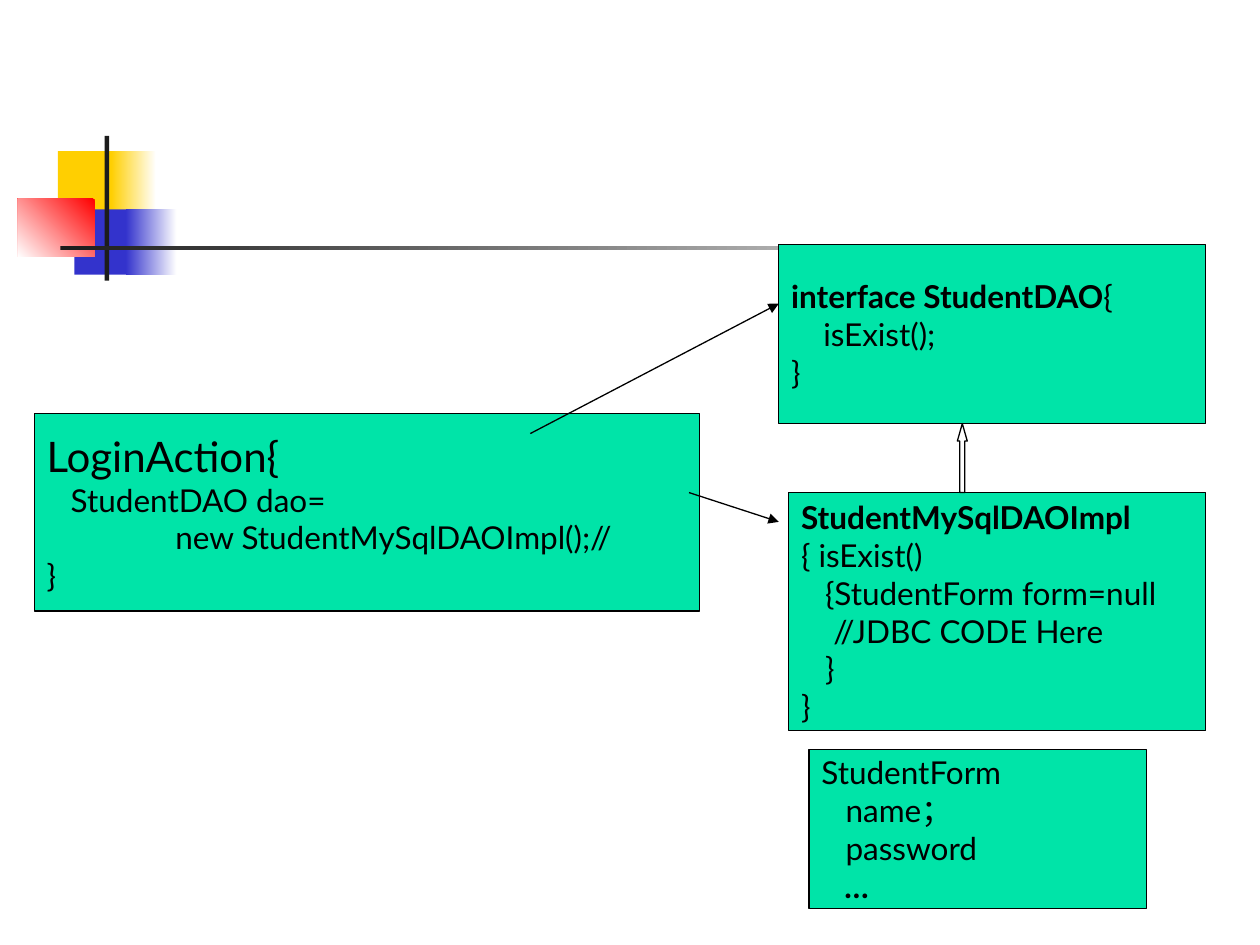
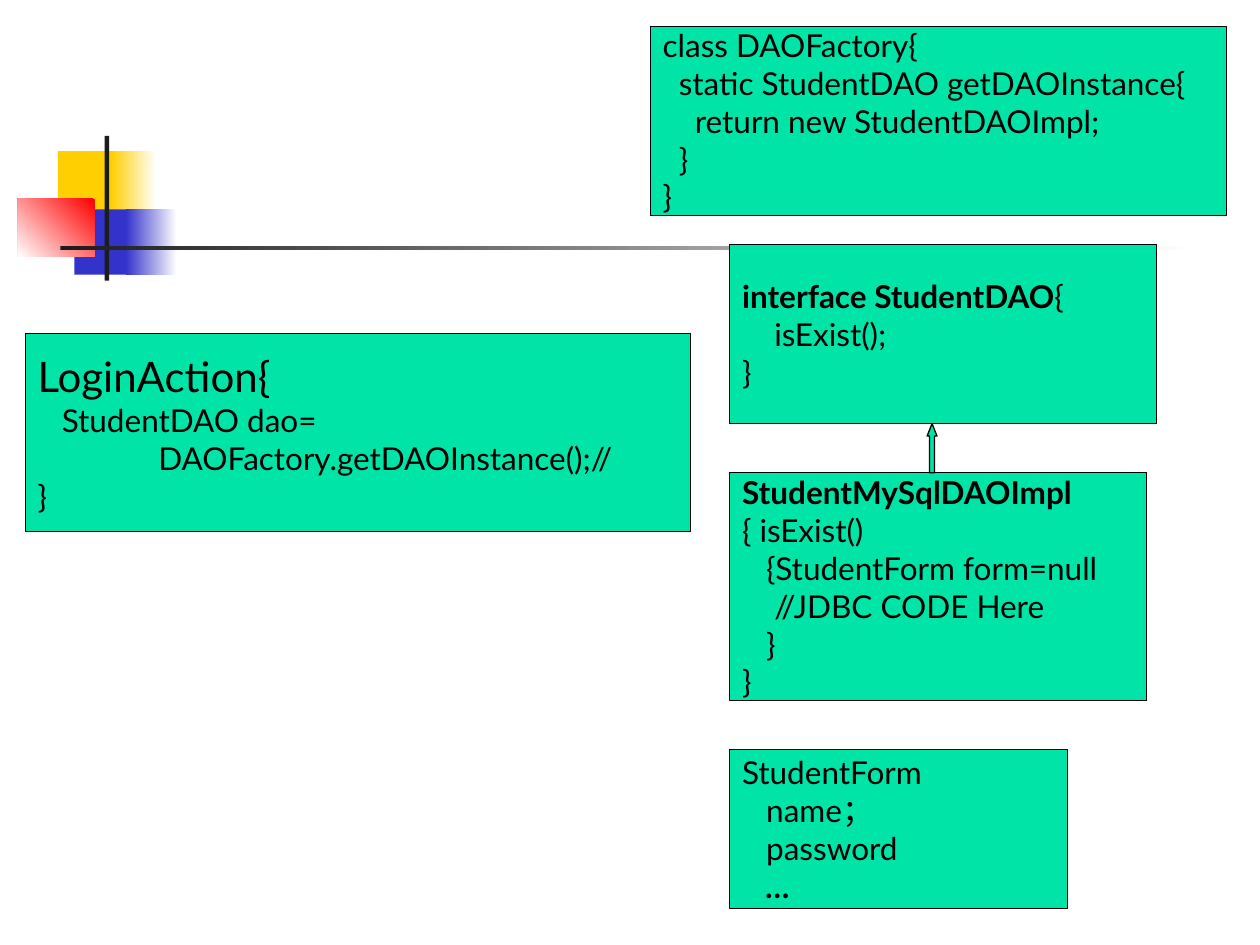
import pptx
import pptx.dml.color
import pptx.enum.shapes
import pptx.enum.text
import pptx.oxml
import pptx.oxml.ns
import pptx.util
from pptx.util import Cm, Pt

RGBColor = pptx.dml.color.RGBColor
SHAPES = pptx.enum.shapes.MSO_SHAPE

WHITE = RGBColor(0xFF, 0xFF, 0xFF)
BLACK = RGBColor(0x00, 0x00, 0x00)
CHARCOAL = RGBColor(0x1C, 0x1C, 0x1C)
YELLOW = RGBColor(0xFF, 0xCF, 0x01)
BLUE = RGBColor(0x33, 0x33, 0xCC)
RED = RGBColor(0xFF, 0x00, 0x00)
GREEN = RGBColor(0x00, 0xE4, 0xA8)

OUTLINE = Pt(0.75)
CODE = {"name": "Lato", "size": Pt(18), "bold": False, "color": BLACK}
BOLD = {"bold": True}
LARGE = {"size": Pt(24)}

# Left, top, width, height in cm; colour; angle of the fade to white, or None
ORNAMENT = [
    (1.17, 3.05, 1.22, 1.32, YELLOW, None),
    (2.24, 3.05, 0.91, 1.32, YELLOW, 0),
    (1.5, 4.22, 1.17, 1.32, BLUE, None),
    (2.54, 4.22, 1.02, 1.32, BLUE, 0),
    (0.36, 4.01, 1.55, 1.17, RED, 225),
    (2.11, 2.74, 0.09, 2.92, CHARCOAL, None),
    (1.22, 4.95, 22.86, 0.09, CHARCOAL, 0),
]

# Each line of code is a list of runs: text and its differences from CODE
STUDENT_FORM = [
    [("StudentForm", {})],
    [("   name；", {})],
    [("   password", {})],
    [("   …", BOLD)],
]
DAO_IMPL = [
    [("StudentMySqlDAOImpl", BOLD)],
    [("{ isExist()", {})],
    [("   {StudentForm form=null", {})],
    [("    //JDBC CODE Here", {})],
    [("   }", {})],
    [("}", {})],
]
DAO_INTERFACE = [
    [("interface StudentDAO", BOLD), ("{", {})],
    [("    isExist();", {})],
    [("}", {})],
]
DAO_FACTORY = [
    [("class DAOFactory{", {})],
    [("  static StudentDAO getDAOInstance{", {})],
    [("    return new StudentDAOImpl;", {})],
    [("  }", {})],
    [("}", {})],
]


def login_action(creation):
    return [
        [("LoginAction{", LARGE)],
        [("   StudentDAO dao=", {})],
        [(creation, {})],
        [("}", {})],
    ]


# Boxes and links are in cm; "inherits" is the arrow from class to interface
DIAGRAMS = [
    {
        "boxes": [
            (STUDENT_FORM, (16.31, 15.11, 6.81, 3.2)),
            (DAO_IMPL, (15.9, 9.93, 8.41, 4.8)),
            (DAO_INTERFACE, (15.7, 4.93, 8.61, 3.61)),
            (login_action("                new StudentMySqlDAOImpl();//"),
             (0.69, 8.33, 13.41, 3.99)),
        ],
        "links": [(10.69, 8.74, 15.7, 6.12), (13.89, 9.93, 15.7, 10.52)],
        "inherits": {"left": 19.3, "bottom": 9.93, "head": 1.76, "color": WHITE},
    },
    {
        "boxes": [
            (STUDENT_FORM, (14.71, 15.11, 6.81, 3.2)),
            (DAO_IMPL, (14.71, 9.53, 8.41, 4.6)),
            (DAO_INTERFACE, (14.71, 4.93, 8.61, 3.61)),
            (DAO_FACTORY, (13.11, 0.53, 11.61, 3.81)),
            (login_action("               DAOFactory.getDAOInstance();//"),
             (0.51, 6.73, 13.41, 3.99)),
        ],
        "links": [],
        "inherits": {"left": 18.69, "bottom": 9.53, "head": 1.26, "color": GREEN},
    },
]
INTERFACE_BOTTOM = 8.54
INHERITS_WIDTH = 0.2


def add_filled(slide, kind, place, color, outlined=True):
    shape = slide.shapes.add_shape(kind, *map(Cm, place))
    shape.shadow.inherit = False
    shape.fill.solid()
    shape.fill.fore_color.rgb = color
    if outlined:
        shape.line.color.rgb = BLACK
        shape.line.width = OUTLINE
    else:
        shape.line.fill.background()
    return shape


def move_ornament_to_layout(slide):
    """Draw the ornament on the slide, then hand it to the shared layout."""
    for *place, color, angle in ORNAMENT:
        part = add_filled(slide, SHAPES.RECTANGLE, place, color, outlined=False)
        if angle is not None:
            part.fill.gradient()
            part.fill.gradient_angle = angle
            for stop, stop_color in zip(part.fill.gradient_stops, (color, WHITE)):
                stop.color.rgb = stop_color
        slide.slide_layout.shapes.element.append(part.element)


def format_font(font, values):
    for key, value in values.items():
        if key == "color":
            font.color.rgb = value
        else:
            setattr(font, key, value)


def add_code_box(slide, code, place):
    frame = add_filled(slide, SHAPES.RECTANGLE, place, GREEN).text_frame
    frame.word_wrap = True
    frame.vertical_anchor = pptx.enum.text.MSO_ANCHOR.MIDDLE
    for number, line in enumerate(code):
        paragraph = frame.add_paragraph() if number else frame.paragraphs[0]
        paragraph.alignment = pptx.enum.text.PP_ALIGN.LEFT
        for text, changes in line:
            run = paragraph.add_run()
            run.text = text
            format_font(run.font, CODE | changes)


def add_link(slide, ends):
    link = slide.shapes.add_connector(
        pptx.enum.shapes.MSO_CONNECTOR.STRAIGHT, *map(Cm, ends))
    link.line.color.rgb = BLACK
    link.line.width = OUTLINE
    properties = link.element.spPr
    head = pptx.oxml.parse_xml(
        f'<a:tailEnd {pptx.oxml.ns.nsdecls("a")} type="triangle"/>')
    properties.find(pptx.oxml.ns.qn("a:ln")).append(head)
    properties.append(pptx.oxml.parse_xml(
        f'<a:effectLst {pptx.oxml.ns.nsdecls("a")}/>'))


def add_inherits(slide, left, bottom, head, color):
    place = (left, INTERFACE_BOTTOM, INHERITS_WIDTH, bottom - INTERFACE_BOTTOM)
    arrow = add_filled(slide, SHAPES.UP_ARROW, place, color)
    arrow.adjustments[0] = 0.5
    arrow.adjustments[1] = head


def main():
    deck = pptx.Presentation()
    deck.slide_width, deck.slide_height = Cm(25.4), Cm(19.05)
    blank = deck.slide_layouts.get_by_name("Blank")
    for number, diagram in enumerate(DIAGRAMS):
        slide = deck.slides.add_slide(blank)
        if number == 0:
            move_ornament_to_layout(slide)
        for code, place in diagram["boxes"]:
            add_code_box(slide, code, place)
        for ends in diagram["links"]:
            add_link(slide, ends)
        add_inherits(slide, **diagram["inherits"])
    deck.save("out.pptx")


if __name__ == "__main__":
    main()
